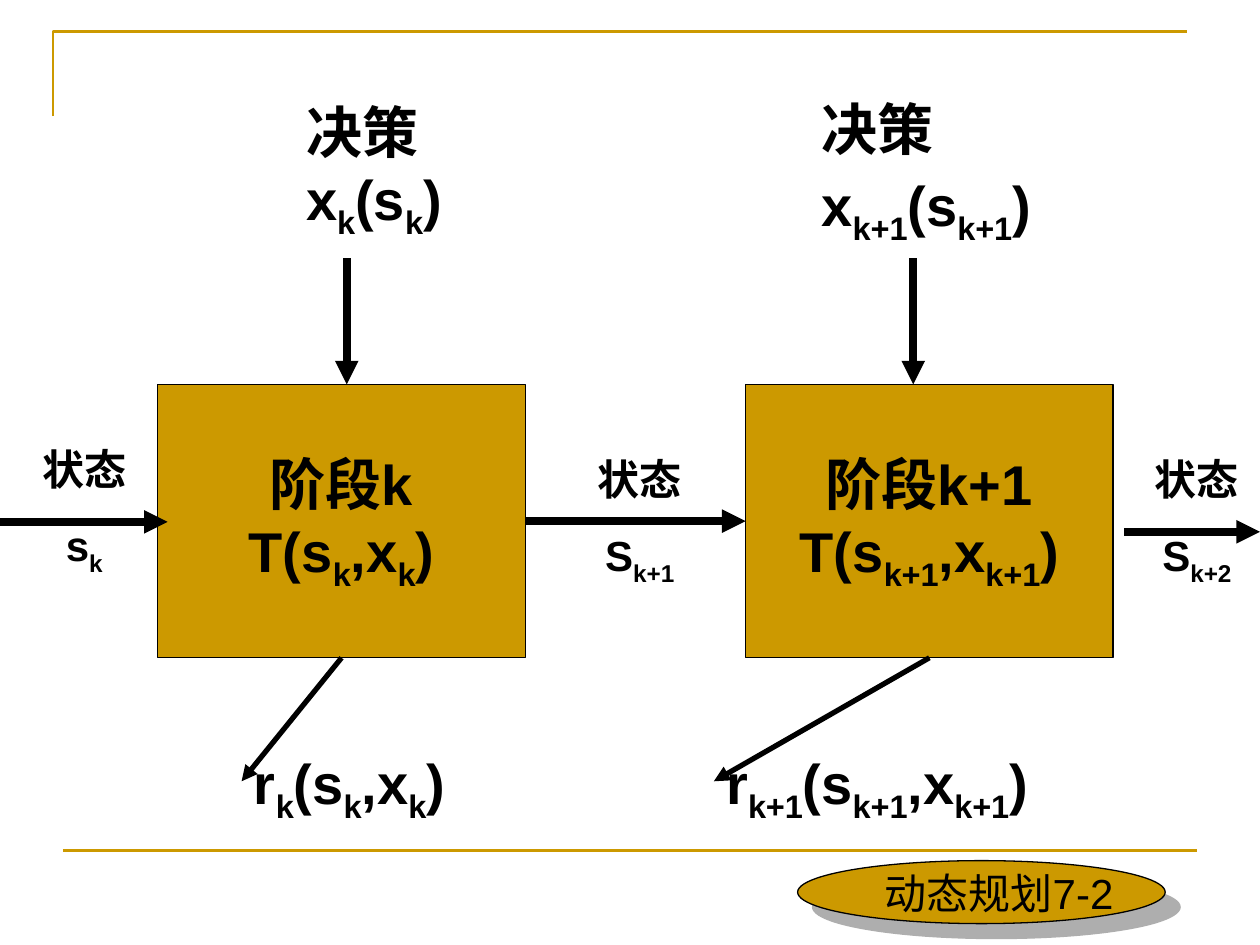
import pptx
import pptx.dml.color
import pptx.enum.shapes
import pptx.enum.text
import pptx.oxml
import pptx.oxml.ns
import pptx.util
from pptx.util import Cm, Pt

GOLD = pptx.dml.color.RGBColor(0xCC, 0x99, 0x00)
BLACK = pptx.dml.color.RGBColor(0, 0, 0)
SHADOW = pptx.dml.color.RGBColor(0x5F, 0x5F, 0x5F)

LEFT = pptx.enum.text.PP_ALIGN.LEFT
CENTER = pptx.enum.text.PP_ALIGN.CENTER
TOP = pptx.enum.text.MSO_ANCHOR.TOP
MIDDLE = pptx.enum.text.MSO_ANCHOR.MIDDLE
SHAPES = pptx.enum.shapes.MSO_SHAPE

STAGE_WIDTH, STAGE_HEIGHT = 7.41, 5.51


def append_xml(parent, tag, content="", **attributes):
    listed = "".join(f' {name}="{value}"' for name, value in attributes.items())
    parent.append(pptx.oxml.parse_xml(
        f'<a:{tag} {pptx.oxml.ns.nsdecls("a")}{listed}>{content}</a:{tag}>'))


def write(shape, lines, size, align, anchor=TOP, gap=0, spacings=(), bold=True,
          wrap=True, margins=(0.25, 0.13)):
    """Fill a shape with lines in which every second piece between bars is a subscript."""
    frame = shape.text_frame
    frame.word_wrap = wrap
    frame.vertical_anchor = anchor
    frame.margin_left = frame.margin_right = Cm(margins[0])
    frame.margin_top = frame.margin_bottom = Cm(margins[1])
    for index, line in enumerate(lines):
        paragraph = frame.add_paragraph() if index else frame.paragraphs[0]
        paragraph.alignment = align
        if index:
            paragraph.space_before = Pt(gap)
        if spacings:
            paragraph.line_spacing = spacings[index]
        for position, piece in enumerate(line.split("|")):
            run = paragraph.add_run()
            run.text = piece
            run.font.name = "Arial"
            run.font.size = Pt(size)
            run.font.bold = bold
            run.font.color.rgb = BLACK
            if position % 2:
                run.font._element.set("baseline", "-25000")


def add_label(slide, left, top, width, height, lines, size, align=LEFT, **style):
    label = slide.shapes.add_textbox(Cm(left), Cm(top), Cm(width), Cm(height))
    write(label, lines, size, align, **style)


def add_gold_shape(slide, kind, left, top, width, height):
    shape = slide.shapes.add_shape(kind, Cm(left), Cm(top), Cm(width), Cm(height))
    shape.shadow.inherit = False
    shape.fill.solid()
    shape.fill.fore_color.rgb = GOLD
    shape.line.color.rgb = BLACK
    shape.line.width = Pt(0.75)
    return shape


def add_line(slide, start, end, weight, color=BLACK, arrow=True):
    line = slide.shapes.add_connector(
        pptx.enum.shapes.MSO_CONNECTOR.STRAIGHT, *map(Cm, start + end))
    line.line.color.rgb = color
    line.line.width = Pt(weight)
    if arrow:
        append_xml(line.line._get_or_add_ln(), "tailEnd", type="triangle")
    append_xml(line._element.spPr, "effectLst")
    return line


def add_frame(slide, left, top, right, bottom):
    corner = slide.shapes.build_freeform(Cm(left), Cm(top + 1.7))
    corner.add_line_segments(
        [(Cm(left), Cm(top)), (Cm(left + 22.86), Cm(top))], close=False)
    outline = corner.convert_to_shape()
    outline.shadow.inherit = False
    outline.fill.background()
    outline.line.color.rgb = GOLD
    outline.line.width = Pt(1.5)
    add_line(slide, (right - 22.86, bottom), (right, bottom), 1.5, GOLD, arrow=False)


def add_stage(slide, left, top, index, decision, arrow_dx, result_dx, result_width):
    """Place a stage box with its decision above and its return below."""
    stage = add_gold_shape(slide, SHAPES.RECTANGLE, left, top, STAGE_WIDTH, STAGE_HEIGHT)
    write(stage, [f"阶段{index}", f"T(s|{index}|,x|{index}|)"], 32, CENTER,
          anchor=MIDDLE, wrap=False)

    dx, dy, width, height, lines, spacings = decision
    add_label(slide, left + dx, top + dy, width, height, lines, 32,
              gap=20, spacings=spacings)
    add_line(slide, (left + arrow_dx, top - 2.54), (left + arrow_dx, top), 4.5)

    bottom = top + STAGE_HEIGHT
    result_left = left + result_dx
    add_label(slide, result_left, bottom + 1.7, result_width, 1.8,
              [f"r|{index}|(s|{index}|,x|{index}|)"], 32)
    result_arrow = add_line(slide, (left + STAGE_WIDTH / 2, bottom),
                            (result_left, bottom + 2.49), 3)
    result_arrow.begin_connect(stage, 2)
    return stage


def add_state(slide, left, top, name):
    add_label(slide, left, top, 2.54, 2.69, ["状态", name], 24, CENTER,
              anchor=MIDDLE, gap=15, margins=(0, 0))


def add_footer(slide, left, top):
    badge = add_gold_shape(slide, SHAPES.OVAL, left, top, 7.41, 1.27)
    effects = badge._element.spPr.find(pptx.oxml.ns.qn("a:effectLst"))
    append_xml(effects, "outerShdw",
               f'<a:srgbClr val="{SHADOW}"><a:alpha val="50000"/></a:srgbClr>',
               dist=Pt(12.1), dir=45 * 60000, algn="ctr", rotWithShape=0)
    add_label(slide, left + 0.91, top, 6.3, 1.27, ["动态规划7-2"], 24, CENTER, bold=False)


def main():
    deck = pptx.Presentation()
    deck.slide_width, deck.slide_height = Cm(25.4), Cm(19.05)
    slide = deck.slides.add_slide(deck.slide_layouts[6])

    add_frame(slide, 1.07, 0.64, 24.13, 17.15)
    stage_k = add_stage(
        slide, 3.18, 7.75, "k",
        (2.74, -5.92, 4.65, 3.15, ["决策x|k|(s|k|)"], ()), 3.81, 1.69, 4.65)
    stage_next = add_stage(
        slide, 15.03, 7.75, "k+1",
        (1.28, -5.72, 8.05, 2.82, ["决策", "x|k+1|(s|k+1|)"], (0.8, 0.5)),
        3.38, -0.64, 9.09)

    add_line(slide, (0, 10.52), (3.38, 10.52), 4.5)
    transfer = add_line(slide, (10.59, 10.5), (15.03, 10.5), 4.5)
    transfer.begin_connect(stage_k, 3)
    transfer.end_connect(stage_next, 1)
    add_line(slide, (22.66, 10.72), (25.4, 10.72), 4.5)

    for left, top, name in ((0.43, 8.94, "s|k"), (11.63, 9.14, "S|k+1"),
                            (22.86, 9.14, "S|k+2")):
        add_state(slide, left, top, name)
    add_footer(slide, 16.08, 17.35)
    deck.save("out.pptx")


if __name__ == "__main__":
    main()
